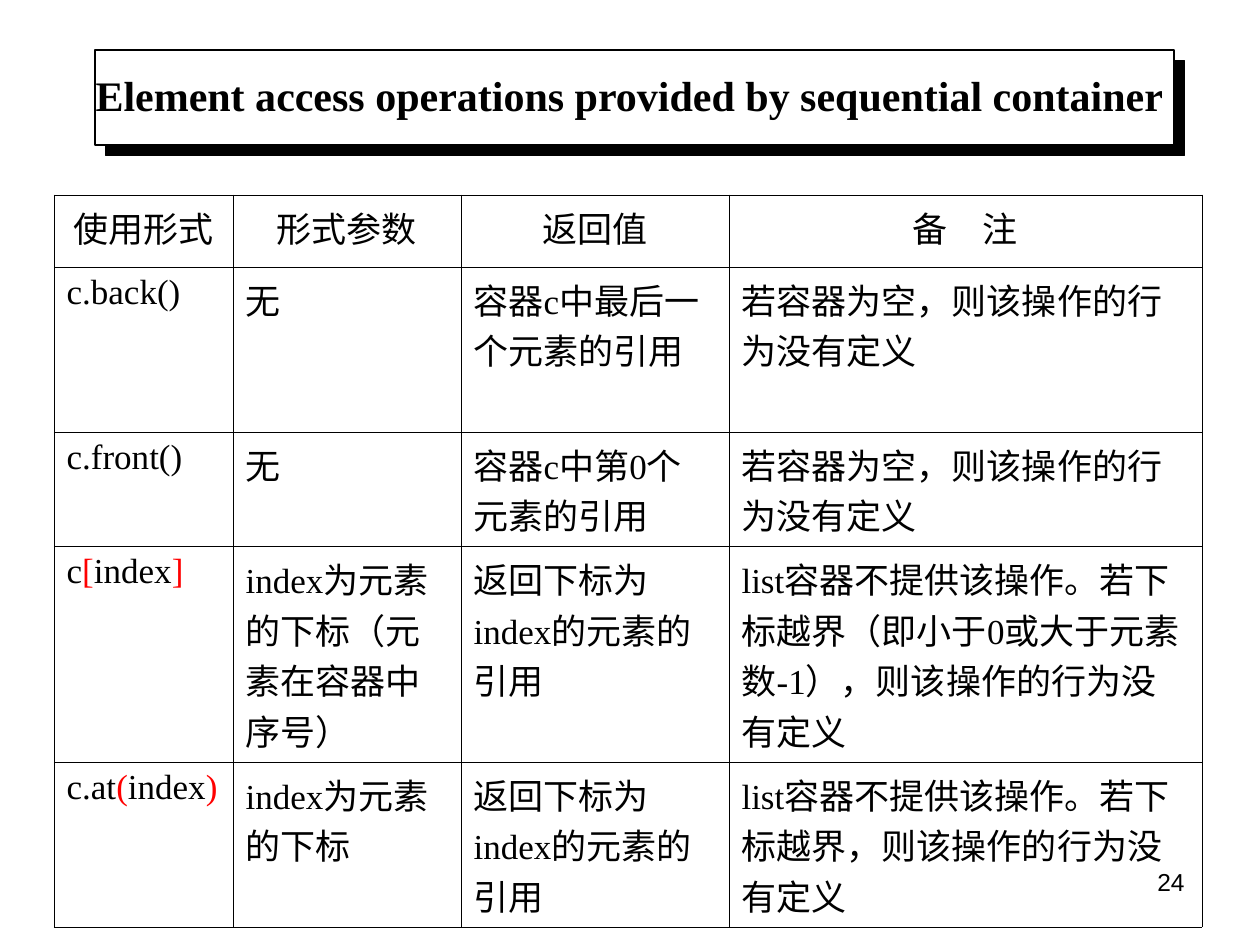
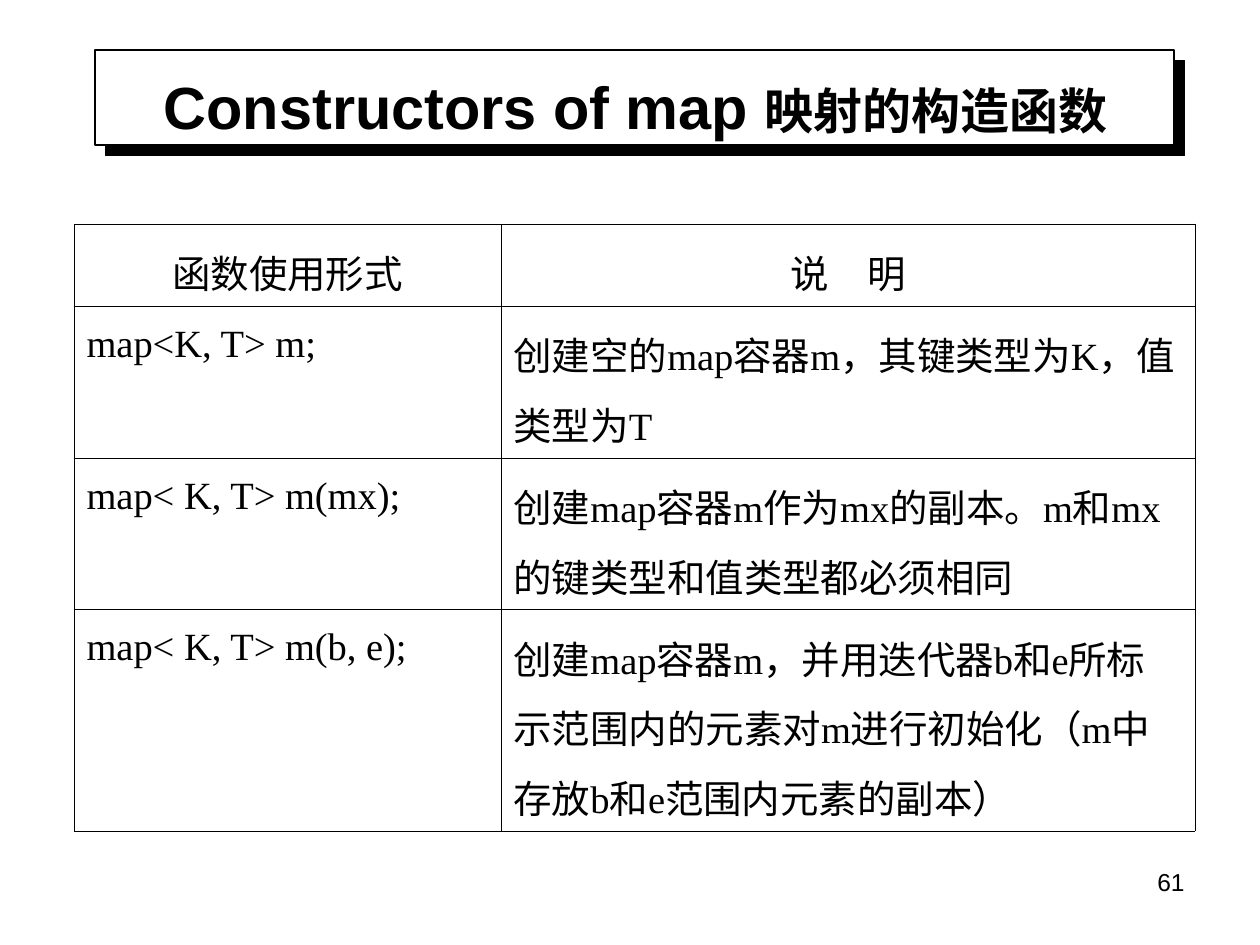
"""Build two slides that tabulate C++ container operations."""
from dataclasses import dataclass
from typing import NamedTuple

from lxml import etree
from pptx import Presentation
from pptx.dml.color import RGBColor
from pptx.enum.shapes import MSO_SHAPE
from pptx.enum.text import MSO_ANCHOR, MSO_AUTO_SIZE, PP_ALIGN
from pptx.oxml.ns import qn
from pptx.util import Emu, Pt

RECTANGLE = MSO_SHAPE.RECTANGLE
MIDDLE = MSO_ANCHOR.MIDDLE
NO_FIT = MSO_AUTO_SIZE.NONE
LEFT, CENTER, RIGHT = PP_ALIGN.LEFT, PP_ALIGN.CENTER, PP_ALIGN.RIGHT

BLACK = RGBColor(0x00, 0x00, 0x00)
WHITE = RGBColor(0xFF, 0xFF, 0xFF)
RED = RGBColor(0xFF, 0x00, 0x00)
SANS, SERIF = "Arial", "Times New Roman"

PX = 914400 / 126
TITLE_ONLY = 5
THIN, THICK = Pt(0.34), Pt(0.45)


class Box(NamedTuple):
    """A rectangle in px."""
    left: int
    top: int
    width: int
    height: int

    def emu(self) -> list[Emu]:
        """Return the four lengths in EMU."""
        return [px(length) for length in self]


class Span(NamedTuple):
    """A stretch of text with an optional own colour and size."""
    text: str
    color: RGBColor | None = None
    size: int | None = None


class Style(NamedTuple):
    """Formatting shared by a whole paragraph."""
    font: str
    size: int
    bold: bool = False
    align: PP_ALIGN = LEFT
    spacing: float | None = None


Text = str | tuple[Span, ...]


@dataclass(frozen=True)
class Grid:
    """A table with its place, sizes and cell texts."""
    left: int
    top: int
    columns: tuple[int, ...]
    heights: tuple[int, ...]
    rows: tuple[tuple[Text, ...], ...]
    size: int
    spacing: float | None = None


@dataclass(frozen=True)
class Page:
    """The content of one slide."""
    title: Text
    title_box: Box
    title_style: Style
    grid: Grid
    number: int


BAND = Box(95, 50, 1079, 95)
NUMBER_BOX = Box(903, 861, 294, 66)
NUMBER_STYLE = Style(SANS, 14, align=RIGHT)
EMPTY_NOTE = "若容器为空，则该操作的行为没有定义"
INDEX_RESULT = "返回下标为index的元素的引用"


def index_call(name: str, opening: str, closing: str) -> Text:
    """Return an indexed access with its brackets in red."""
    return Span(name), Span(opening, RED), Span("index"), Span(closing, RED)


PAGES = (
    Page(
        "Element access operations provided by sequential container",
        Box(69, 55, 1121, 80),
        Style(SERIF, 24, True, CENTER),
        Grid(
            54, 195, (179, 228, 268, 473), (72, 106, 112, 195, 139),
            (
                ("使用形式", "形式参数", "返回值", "备　注"),
                ("c.back()", "无", "容器c中最后一个元素的引用", EMPTY_NOTE),
                ("c.front()", "无", "容器c中第0个元素的引用", EMPTY_NOTE),
                (index_call("c", "[", "]"),
                 "index为元素的下标（元素在容器中序号）", INDEX_RESULT,
                 "list容器不提供该操作。若下标越界（即小于0或大于元素数-1），则该操作的行为没有定义"),
                (index_call("c.at", "(", ")"),
                 "index为元素的下标", INDEX_RESULT,
                 "list容器不提供该操作。若下标越界，则该操作的行为没有定义"),
            ),
            20,
        ),
        24,
    ),
    Page(
        (Span("Constructors of map "), Span("映射的构造函数", size=28)),
        Box(95, 66, 1081, 79),
        Style(SANS, 34, True, CENTER),
        Grid(
            74, 224, (427, 694), (71, 129, 129, 186),
            (
                ("函数使用形式", "说　明"),
                ("map<K, T> m;", "创建空的map容器m，其键类型为K，值类型为T"),
                ("map< K, T> m(mx);",
                 "创建map容器m作为mx的副本。m和mx的键类型和值类型都必须相同"),
                ("map< K, T> m(b, e);",
                 "创建map容器m，并用迭代器b和e所标示范围内的元素对m进行初始化（m中存放b和e范围内元素的副本）"),
            ),
            22, 1.25,
        ),
        61,
    ),
)


def px(length: int) -> Emu:
    """Turn px into EMU."""
    return Emu(round(length * PX))


def write(frame, text: Text, style: Style) -> None:
    """Fill the first paragraph of a text frame."""
    para = frame.paragraphs[0]
    para.alignment = style.align
    if style.spacing:
        para.line_spacing = style.spacing
    para.font.name = style.font
    para.font.size = Pt(style.size)
    para.font.bold = style.bold
    para.font.color.rgb = BLACK
    for span in (Span(text),) if isinstance(text, str) else text:
        run = para.add_run()
        run.text = span.text
        if span.color is not None:
            run.font.color.rgb = span.color
        if span.size:
            run.font.size = Pt(span.size)


def add_band(slide) -> None:
    """Draw the title band with its hard shadow behind everything."""
    band = slide.shapes.add_shape(RECTANGLE, *BAND.emu())
    band.fill.solid()
    band.fill.fore_color.rgb = WHITE
    band.line.color.rgb = BLACK
    band.line.width = Pt(0.75)
    band.shadow.inherit = False
    effects = band.element.spPr.find(qn("a:effectLst"))
    shadow = etree.SubElement(effects, qn("a:outerShdw"), dist=str(Pt(8.5)),
                              dir="2700000", algn="ctr", rotWithShape="0")
    etree.SubElement(shadow, qn("a:srgbClr"), val=str(BLACK))
    slide.shapes.element.insert(2, band.element)


def add_title(slide, page: Page) -> None:
    """Place and write the title."""
    title = slide.shapes.title
    title.left, title.top, title.width, title.height = page.title_box.emu()
    frame = title.text_frame
    frame.auto_size = NO_FIT
    frame.vertical_anchor = MIDDLE
    frame.margin_left = frame.margin_right = 0
    frame.margin_top = frame.margin_bottom = 0
    write(frame, page.title, page.title_style)


def set_borders(cell, top: Emu, bottom: Emu) -> None:
    """Give a cell black borders."""
    properties = cell._tc.get_or_add_tcPr()
    for side, width in (("L", THIN), ("R", THIN), ("T", top), ("B", bottom)):
        line = etree.SubElement(properties, qn(f"a:ln{side}"), w=str(width))
        fill = etree.SubElement(line, qn("a:solidFill"))
        etree.SubElement(fill, qn("a:srgbClr"), val=str(BLACK))


def add_grid(slide, grid: Grid) -> None:
    """Draw a table with a centred header row."""
    box = Box(grid.left, grid.top, sum(grid.columns), sum(grid.heights))
    table = slide.shapes.add_table(
        len(grid.heights), len(grid.columns), *box.emu()).table
    table.first_row = table.horz_banding = False
    for column, width in zip(table.columns, grid.columns):
        column.width = px(width)
    last = len(grid.rows) - 1
    for index, (height, texts) in enumerate(zip(grid.heights, grid.rows)):
        table.rows[index].height = px(height)
        style = Style(SERIF, grid.size, align=LEFT if index else CENTER,
                      spacing=grid.spacing)
        top = THICK if index <= 1 else THIN
        bottom = THICK if index in (0, last) else THIN
        for cell, text in zip(table.rows[index].cells, texts):
            set_borders(cell, top, bottom)
            cell.fill.background()
            write(cell.text_frame, text, style)


def add_number(slide, number: int) -> None:
    """Write the page number at the lower right."""
    frame = slide.shapes.add_textbox(*NUMBER_BOX.emu()).text_frame
    frame.word_wrap = True
    write(frame, str(number), NUMBER_STYLE)


def main() -> None:
    """Build and save the deck."""
    deck = Presentation()
    deck.slide_width, deck.slide_height = px(1260), px(945)
    for page in PAGES:
        slide = deck.slides.add_slide(deck.slide_layouts[TITLE_ONLY])
        add_band(slide)
        add_title(slide, page)
        add_grid(slide, page.grid)
        add_number(slide, page.number)
    deck.save("out.pptx")


if __name__ == "__main__":
    main()
